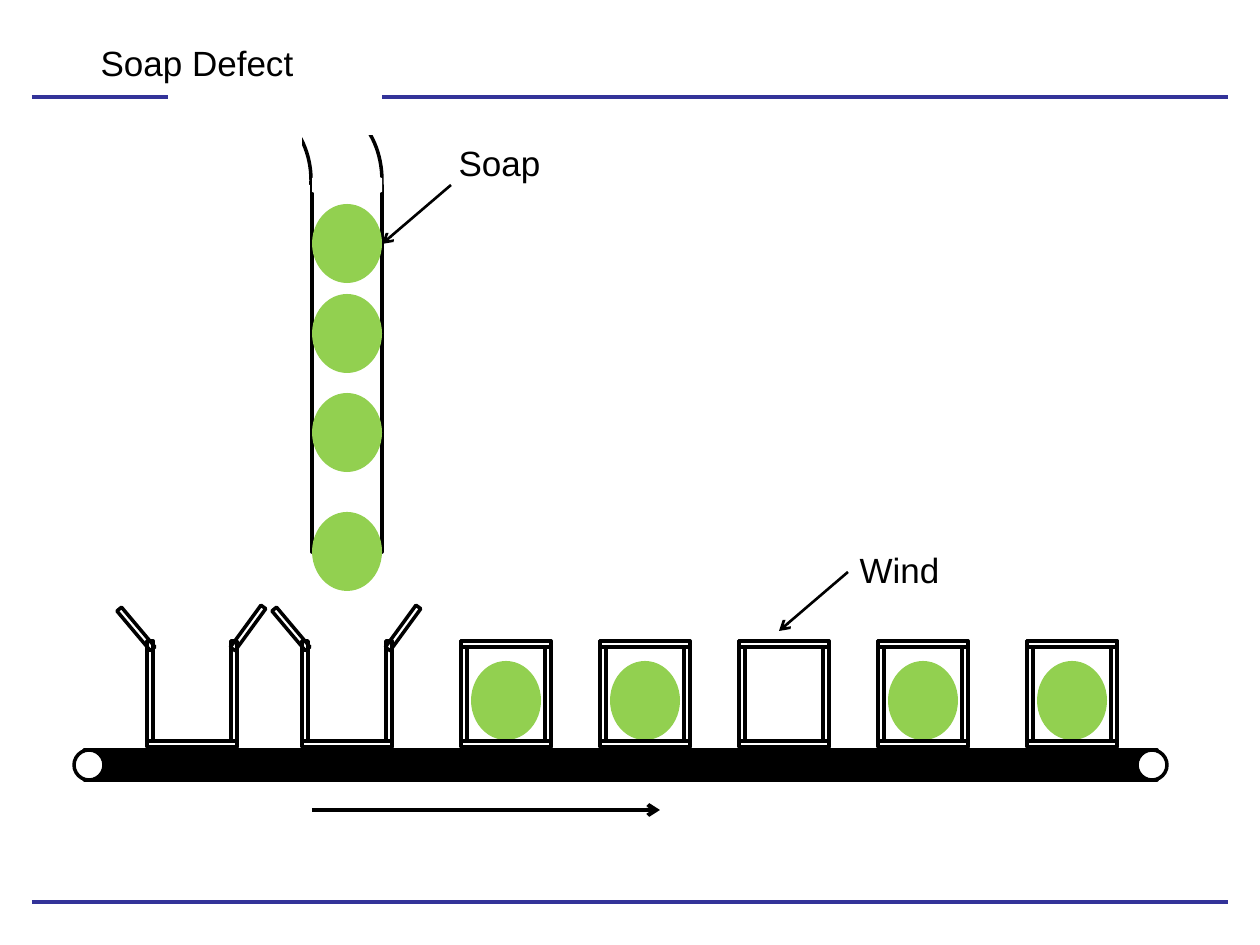
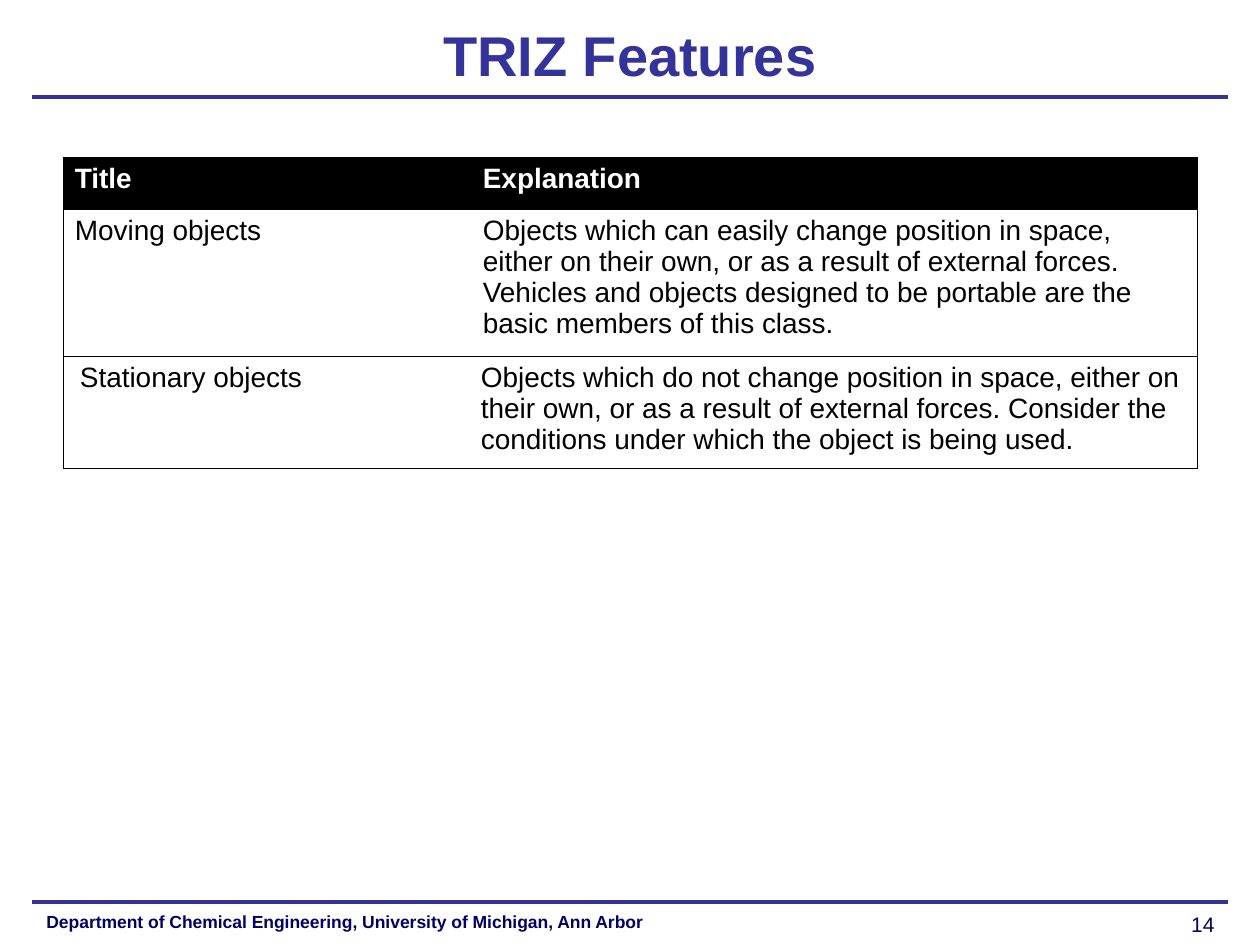
from lxml import etree
from pptx import Presentation
from pptx.dml.color import RGBColor
from pptx.enum.shapes import MSO_CONNECTOR, MSO_SHAPE
from pptx.enum.text import MSO_ANCHOR, PP_ALIGN
from pptx.oxml.ns import qn
from pptx.util import Emu, Pt

BLACK = RGBColor(0x00, 0x00, 0x00)
WHITE = RGBColor(0xFF, 0xFF, 0xFF)
INDIGO = RGBColor(0x33, 0x33, 0x99)
NAVY = RGBColor(0x00, 0x00, 0x66)
SOAP_GREEN = RGBColor(0x92, 0xD0, 0x50)
FONT = "Arial"
PX_PER_INCH = 126
SOAP_WIDTH, SOAP_HEIGHT = 70, 79
PANEL = 6
CARTON_WIDTH, CARTON_HEIGHT = 90, 106


def px(length):
    return Emu(round(length * 914400 / PX_PER_INCH))


def add_run(paragraph, text, size, color, bold=False):
    run = paragraph.add_run()
    run.text = text
    run.font.name = FONT
    run.font.size = Pt(size)
    run.font.bold = bold
    run.font.color.rgb = color


def add_text(slide, box, text, size, color, bold=False,
             align=PP_ALIGN.LEFT, anchor=MSO_ANCHOR.TOP, wrap=True):
    frame = slide.shapes.add_textbox(*map(px, box)).text_frame
    frame.word_wrap = wrap
    frame.vertical_anchor = anchor
    paragraph = frame.paragraphs[0]
    paragraph.alignment = align
    add_run(paragraph, text, size, color, bold)


def add_shape(shapes, kind, box, fill=None, outlined=False, rotation=0):
    shape = shapes.add_shape(kind, *map(px, box))
    shape.shadow.inherit = False
    shape.rotation = rotation
    if fill is None:
        shape.fill.background()
    else:
        shape.fill.solid()
        shape.fill.fore_color.rgb = fill
    if outlined:
        shape.line.color.rgb = BLACK
        shape.line.width = Pt(2)
    else:
        shape.line.fill.background()


def add_line(slide, start, end, color, width, arrow=False):
    connector = slide.shapes.add_connector(
        MSO_CONNECTOR.STRAIGHT, *map(px, start + end))
    connector.line.color.rgb = color
    connector.line.width = Pt(width)
    properties = connector.element.spPr
    if arrow:
        tail = etree.SubElement(properties.find(qn("a:ln")), qn("a:tailEnd"))
        tail.set("type", "arrow")
    etree.SubElement(properties, qn("a:effectLst"))


def add_ruled_slide(presentation):
    slide = presentation.slides.add_slide(presentation.slide_layouts[6])
    for y in (97, 902):
        add_line(slide, (32, y), (1228, y), INDIGO, 2.25)
    return slide


def add_soap(shapes, left, top):
    add_shape(shapes, MSO_SHAPE.FLOWCHART_CONNECTOR,
              (left, top, SOAP_WIDTH, SOAP_HEIGHT), SOAP_GREEN)


def add_chute(slide, left, top):
    """Draw a bent tube: two arcs, trimmed by white masks, above a shaft of soap."""
    shapes = slide.shapes.add_group_shape().shapes
    shaft = left + 144
    add_shape(shapes, MSO_SHAPE.OVAL, (left + 25, top + 40, 118, 149), WHITE, True)
    add_shape(shapes, MSO_SHAPE.OVAL, (left + 104, top + 40, 110, 149), None, True)
    for x, y, width, height in ((25, 0, 189, 69), (0, 10, 134, 149), (30, 119, 134, 149)):
        add_shape(shapes, MSO_SHAPE.ROUND_1_RECTANGLE,
                  (left + x, top + y, width, height), WHITE)
    add_shape(shapes, MSO_SHAPE.RECTANGLE,
              (shaft, top + 119, SOAP_WIDTH, 367), WHITE, True)
    add_shape(shapes, MSO_SHAPE.FLOWCHART_MAGNETIC_DISK,
              (shaft, top + 109, SOAP_WIDTH, 20), WHITE)
    for drop in (138, 228, 327, 446):
        add_soap(shapes, shaft, top + drop)


def add_belt(slide, left, top, width, height):
    add_shape(slide.shapes, MSO_SHAPE.RECTANGLE,
              (left + height // 3, top, width - 2 * height // 3, height), BLACK, True)
    for x in (left, left + width - height):
        add_shape(slide.shapes, MSO_SHAPE.OVAL, (x, top, height, height), WHITE, True)


def add_carton(slide, left, top, is_open=False, has_soap=False):
    shapes = slide.shapes.add_group_shape().shapes
    if has_soap:
        add_soap(shapes, left + (CARTON_WIDTH - SOAP_WIDTH) // 2, top + 20)
    for x in (left, left + CARTON_WIDTH - PANEL):
        add_shape(shapes, MSO_SHAPE.RECTANGLE,
                  (x, top, PANEL, CARTON_HEIGHT - PANEL), None, True)
    add_shape(shapes, MSO_SHAPE.RECTANGLE,
              (left, top + CARTON_HEIGHT - PANEL, CARTON_WIDTH, PANEL), None, True)
    if is_open:
        for x, y, angle in ((-37, -15, 49.9), (75, -16, 126.1)):
            add_shape(shapes, MSO_SHAPE.RECTANGLE,
                      (left + x, top + y, 52, PANEL), None, True, angle)
    else:
        add_shape(shapes, MSO_SHAPE.RECTANGLE,
                  (left, top, CARTON_WIDTH, PANEL), WHITE, True)


def add_label(slide, box, text):
    add_text(slide, box, text, 20, BLACK, align=PP_ALIGN.CENTER, wrap=False)


def build_soap_line(presentation):
    slide = add_ruled_slide(presentation)
    add_chute(slide, 168, 66)
    add_line(slide, (312, 810), (660, 810), BLACK, 2.25, arrow=True)
    add_belt(slide, 74, 750, 1093, 30)
    for left in (147, 302):
        add_carton(slide, left, 641, is_open=True)
    for left, has_soap in ((461, True), (600, True), (739, False),
                           (878, True), (1027, True)):
        add_carton(slide, left, 641, has_soap=has_soap)
    add_label(slide, (88, 35, 218, 55), "Soap Defect")
    add_label(slide, (446, 135, 107, 55), "Soap")
    add_label(slide, (847, 542, 105, 55), "Wind")
    for x, y in ((451, 185), (848, 572)):
        add_line(slide, (x, y), (x - 69, y + 59), BLACK, 1.5, arrow=True)


def set_borders(cell, hidden_side):
    properties = cell._tc.get_or_add_tcPr()
    for side in ("lnL", "lnR", "lnT", "lnB"):
        border = etree.SubElement(properties, qn("a:" + side), w=str(Pt(0.34)))
        if side == hidden_side:
            etree.SubElement(border, qn("a:noFill"))
        else:
            fill = etree.SubElement(border, qn("a:solidFill"))
            etree.SubElement(fill, qn("a:srgbClr"), val=str(BLACK))


def add_feature_table(slide, left, top):
    rows = (
        ("Title", "Explanation"),
        ("Moving objects",
         "Objects which can easily change position in space, either on their own, "
         "or as a result of external forces. Vehicles and objects designed to be "
         "portable are the basic members of this class."),
        ("Stationary objects",
         "Objects which do not change position in space, either on their own, "
         "or as a result of external forces. Consider the conditions under which "
         "the object is being used."),
    )
    widths, heights = (408, 726), (52, 147, 106)
    insets = ((12, 12), (12, 12), (17, 10))
    table = slide.shapes.add_table(
        len(rows), len(widths),
        *map(px, (left, top, sum(widths), sum(heights)))).table
    table.horz_banding = False
    for column, width in zip(table.columns, widths):
        column.width = px(width)
    for row_index, texts in enumerate(rows):
        table.rows[row_index].height = px(heights[row_index])
        is_header = row_index == 0
        for column_index, text in enumerate(texts):
            cell = table.cell(row_index, column_index)
            set_borders(cell, ("lnR", "lnL")[column_index])
            if is_header:
                cell.fill.solid()
                cell.fill.fore_color.rgb = BLACK
            else:
                cell.fill.background()
            cell.margin_left = px(insets[row_index][column_index])
            cell.margin_right = px(min(insets[row_index]))
            cell.margin_top = cell.margin_bottom = px(6)
            add_run(cell.text_frame.paragraphs[0], text, 16,
                    WHITE if is_header else BLACK, is_header)


def add_footer(slide, number):
    add_text(slide, (34, 905, 840, 32),
             "Department of Chemical Engineering, University of Michigan, Ann Arbor",
             10, NAVY, bold=True)
    add_text(slide, (1080, 905, 147, 33), number, 12, NAVY, align=PP_ALIGN.RIGHT)


def build_features(presentation):
    slide = add_ruled_slide(presentation)
    add_text(slide, (21, 10, 1218, 88), "TRIZ Features", 32, INDIGO, bold=True,
             align=PP_ALIGN.CENTER, anchor=MSO_ANCHOR.MIDDLE)
    add_feature_table(slide, 63, 157)
    add_footer(slide, "14")


def main():
    presentation = Presentation()
    presentation.slide_width = px(1260)
    presentation.slide_height = px(945)
    build_soap_line(presentation)
    build_features(presentation)
    presentation.save("out.pptx")


if __name__ == "__main__":
    main()
